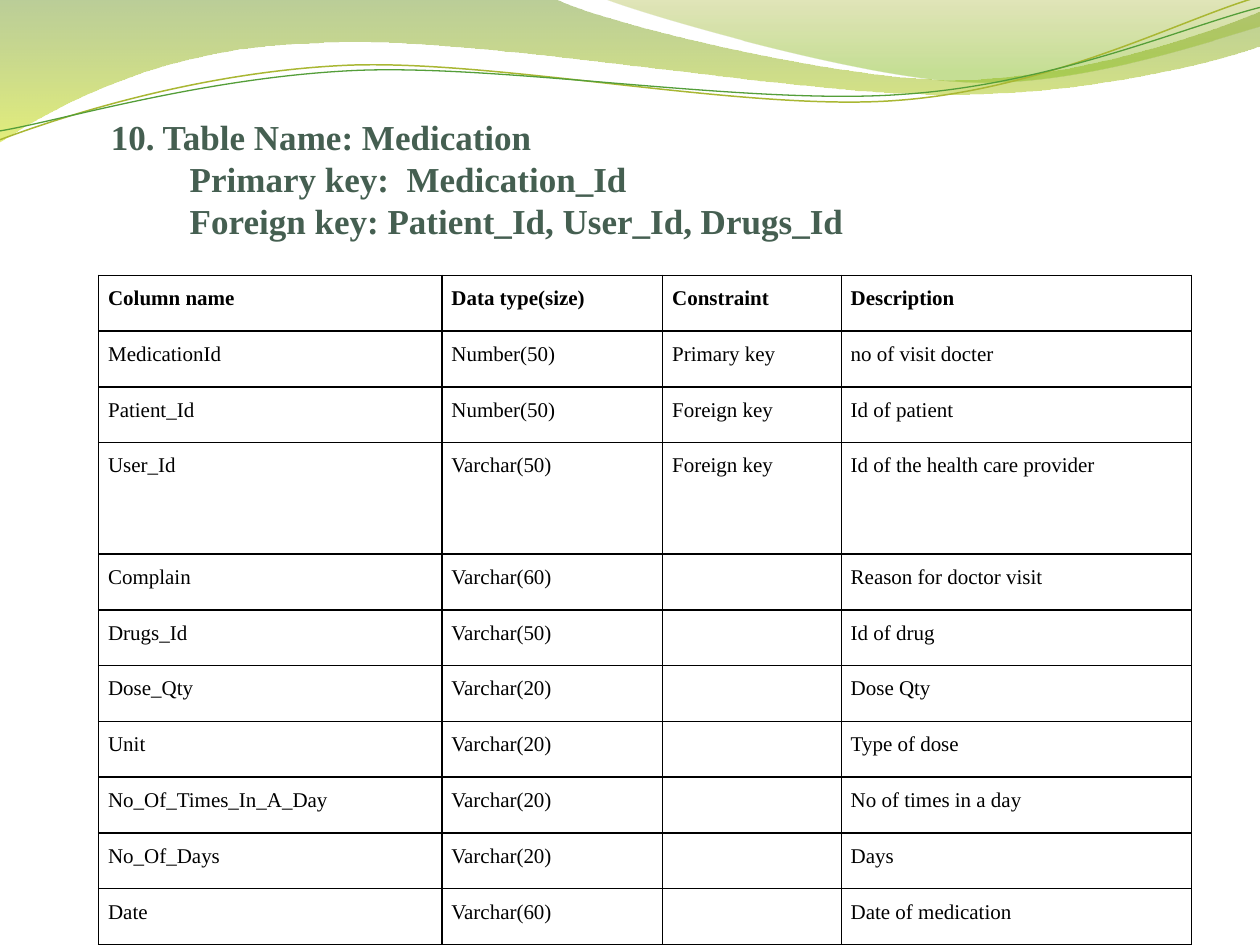
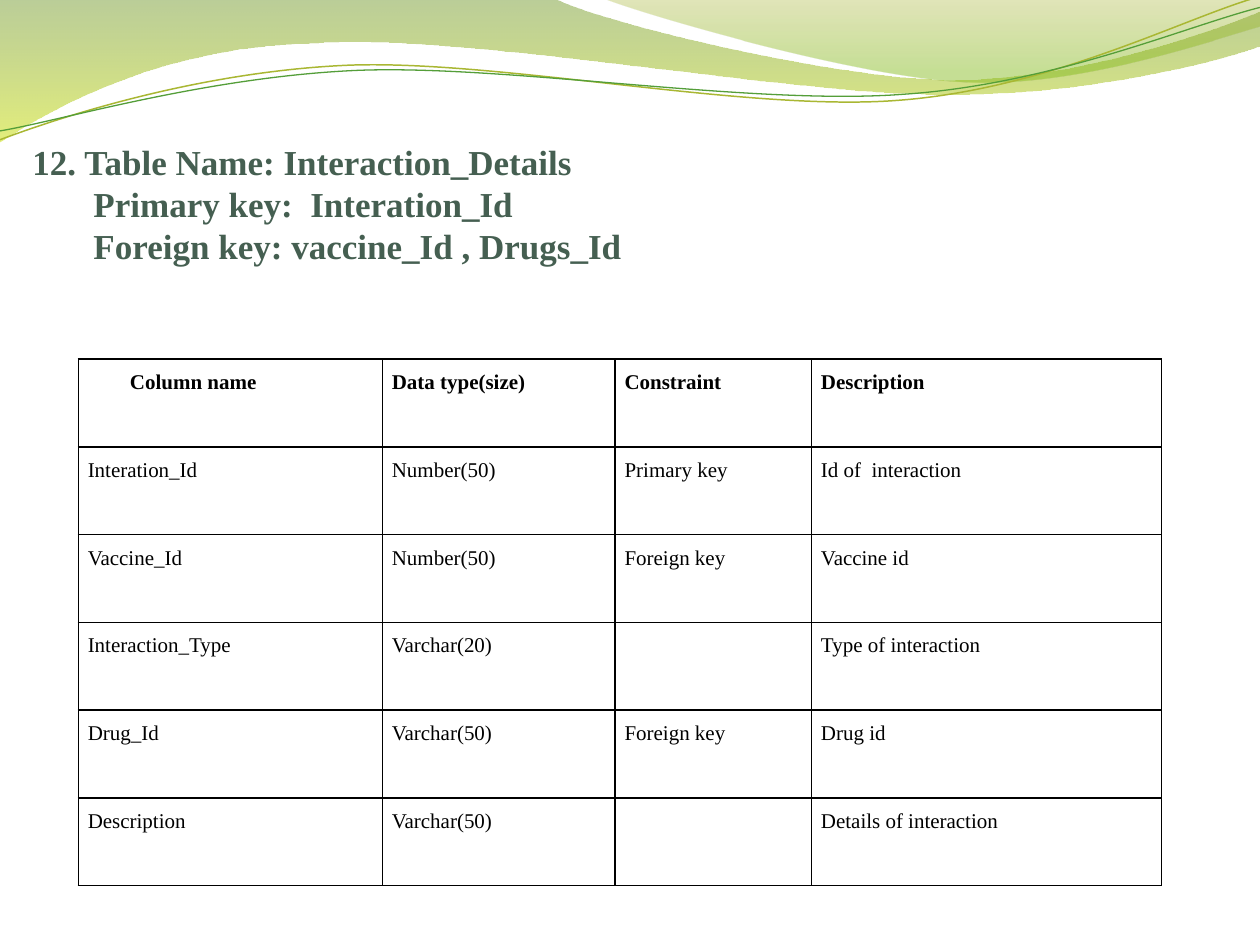
from dataclasses import dataclass
from typing import Optional

import lxml.etree
import pptx
import pptx.dml.color
import pptx.enum.text
import pptx.oxml
import pptx.oxml.ns
import pptx.util
from pptx.util import Cm

Point = tuple[float, float]
ALIGN = pptx.enum.text.PP_ALIGN


@dataclass(frozen=True)
class Theme:
    font: str = "Times New Roman"
    title_size: int = 20
    cell_size: int = 12
    title: str = "455F51"
    ink: str = "000000"
    paper: str = "FFFFFF"
    olive: str = "69921C"
    lime: str = "CCE10F"
    moss: str = "9BAA1A"
    leaf: str = "81BA16"
    khaki: str = "A9B733"
    green: str = "549E39"


THEME = Theme()


@dataclass(frozen=True)
class Stop:
    position: float
    color: str
    opacity: int


@dataclass(frozen=True)
class Wave:
    """An outline in cm: a step of one point is a line, of three a Bezier curve."""
    start: Point
    steps: tuple[tuple[Point, ...], ...]
    stops: tuple[Stop, ...] = ()
    line_color: str = ""
    line_width: float = 0
    rotation: float = 0


@dataclass(frozen=True)
class Line:
    text: str
    indent: float = 0


@dataclass(frozen=True)
class SchemaSlide:
    title: tuple[Line, ...]
    title_box: tuple[float, float, float, float]
    title_wraps: bool
    table_box: tuple[float, float, float]
    column_widths: tuple[float, ...]
    fields: tuple[tuple[str, str, str, str], ...]
    header_indent: float = 0
    double_row: Optional[int] = None


WAVES = (
    Wave((0, 0), (
        ((11.18, -0.03),),
        ((12.07, 0.43), (16.84, 1.6), (19.25, 1.6)),
        ((21.67, 1.6), (24.33, 0.66), (25.4, 0.23)),
        ((25.43, 0.91),),
        ((24.97, 1.12), (22.07, 1.93), (18.95, 1.9)),
        ((15.8, 1.9), (9.68, 0.71), (6.53, 0.86)),
        ((3.28, 0.91), (1.17, 2.11), (-0.03, 2.87)),
        ((0, 0),),
    ), stops=(Stop(0, THEME.olive, 45), Stop(1, THEME.lime, 55))),
    Wave((12.17, -0.03), (
        ((12.93, 0.28), (17.32, 1.57), (19.51, 1.65)),
        ((21.72, 1.75), (24.41, 0.81), (25.4, 0.53)),
        ((25.4, 0),),
        ((12.17, -0.03),),
    ), stops=(Stop(0, THEME.moss, 30), Stop(0.8, THEME.leaf, 45))),
    Wave((-0.05, 2.22), (
        ((1.19, 1.82), (4, 1.04), (7.02, 1.05)),
        ((10.05, 1.07), (15, 2.37), (18.05, 2.28)),
        ((21.13, 2.2), (23.87, 0.91), (25.38, 0.55)),
    ), line_color=THEME.khaki, line_width=0.85, rotation=357.3),
    Wave((-0.04, 2.04), (
        ((1.16, 1.9), (4.15, 1.15), (7.2, 1.16)),
        ((10.22, 1.18), (15.13, 2.25), (18.19, 2.16)),
        ((21.21, 2.1), (23.93, 1.06), (25.45, 0.75)),
    ), line_color=THEME.green, line_width=0.75, rotation=357.3),
)

HEADER = ("Column name", "Data type(size)", "Constraint", "Description")

MEDICATION = SchemaSlide(
    title=(
        Line("10. Table Name: Medication"),
        Line("Primary key:  Medication_Id", 1.59),
        Line("Foreign key: Patient_Id, User_Id, Drugs_Id", 1.59),
    ),
    title_box=(1.98, 2.18, 19.63, 2.82),
    title_wraps=True,
    table_box=(1.99, 5.55, 13.49),
    column_widths=(6.92, 4.45, 3.6, 7.06),
    double_row=3,
    fields=(
        ("MedicationId", "Number(50)", "Primary key", "no of visit docter"),
        ("Patient_Id", "Number(50)", "Foreign key", "Id of patient"),
        ("User_Id", "Varchar(50)", "Foreign key", "Id of the health care provider"),
        ("Complain", "Varchar(60)", "", "Reason for doctor visit"),
        ("Drugs_Id", "Varchar(50)", "", "Id of drug"),
        ("Dose_Qty", "Varchar(20)", "", "Dose Qty"),
        ("Unit", "Varchar(20)", "", "Type of dose"),
        ("No_Of_Times_In_A_Day", "Varchar(20)", "", "No of times in a day"),
        ("No_Of_Days", "Varchar(20)", "", "Days"),
        ("Date", "Varchar(60)", "", "Date of medication"),
    ),
)

INTERACTION = SchemaSlide(
    title=(
        Line("12. Table Name: Interaction_Details"),
        Line("Primary key:  Interation_Id", 1.23),
        Line("Foreign key: vaccine_Id , Drugs_Id", 1.23),
    ),
    title_box=(0.4, 2.69, 12.5, 2.82),
    title_wraps=False,
    table_box=(1.58, 7.24, 10.62),
    column_widths=(6.13, 4.69, 3.96, 7.05),
    header_indent=0.85,
    fields=(
        ("Interation_Id", "Number(50)", "Primary key", "Id of  interaction"),
        ("Vaccine_Id", "Number(50)", "Foreign key", "Vaccine id"),
        ("Interaction_Type", "Varchar(20)", "", "Type of interaction"),
        ("Drug_Id", "Varchar(50)", "Foreign key", "Drug id"),
        ("Description", "Varchar(50)", "", "Details of interaction"),
    ),
)


def rgb(color: str) -> pptx.dml.color.RGBColor:
    return pptx.dml.color.RGBColor.from_string(color)


def write_text(frame, lines: tuple[Line, ...], *, size: int, color: str,
               bold: bool = False, align=ALIGN.LEFT,
               line_spacing: float = 1.0, space_after: float = 0) -> None:
    for number, line in enumerate(lines):
        paragraph = frame.add_paragraph() if number else frame.paragraphs[0]
        paragraph.alignment = align
        paragraph.line_spacing = line_spacing
        paragraph.space_after = pptx.util.Pt(space_after)
        if line.indent:
            properties = paragraph._p.get_or_add_pPr()
            properties.set("marL", str(Cm(line.indent)))
            properties.set("indent", "0")
        paragraph.font.size = pptx.util.Pt(size)
        if not line.text:
            continue
        run = paragraph.add_run()
        run.text = line.text
        run.font.name = THEME.font
        run.font.size = pptx.util.Pt(size)
        run.font.bold = bold
        run.font.color.rgb = rgb(color)


def bend_segments(shape, wave: Wave) -> None:
    """Join the three line segments of each curved step into one Bezier segment."""
    qn = pptx.oxml.ns.qn
    segments = iter(list(shape._element.spPr.iter(qn("a:lnTo"))))
    for step in wave.steps:
        legs = [next(segments) for _ in step]
        if len(legs) == 3:
            curve = lxml.etree.Element(qn("a:cubicBezTo"))
            legs[0].addprevious(curve)
            for leg in legs:
                curve.append(leg[0])
                leg.getparent().remove(leg)


def draw_wave(shapes, wave: Wave):
    points = [wave.start] + [point for step in wave.steps for point in step]
    units = [(x * 1000, y * 1000) for x, y in points]
    builder = shapes.build_freeform(*units[0], scale=Cm(1) / 1000)
    builder.add_line_segments(units[1:], close=bool(wave.stops))
    shape = builder.convert_to_shape()
    bend_segments(shape, wave)
    shape.rotation = wave.rotation
    shape.shadow.inherit = False
    if not wave.stops:
        shape.fill.background()
        shape.line.color.rgb = rgb(wave.line_color)
        shape.line.width = pptx.util.Pt(wave.line_width)
        return shape
    shape.line.fill.background()
    shape.fill.gradient()
    shape.fill.gradient_angle = 270
    for gradient_stop, stop in zip(shape.fill.gradient_stops, wave.stops):
        gradient_stop.position = stop.position
        gradient_stop.color.rgb = rgb(stop.color)
    colors = shape._element.spPr.iter(pptx.oxml.ns.qn("a:srgbClr"))
    for color, stop in zip(colors, wave.stops):
        color.append(pptx.oxml.parse_xml(
            f'<a:alpha {pptx.oxml.ns.nsdecls("a")} val="{stop.opacity * 1000}"/>'))
    return shape


def put_waves_on_layout(slide) -> None:
    """Draw the waves and move them behind the placeholders of the layout."""
    layout_tree = slide.slide_layout.shapes._spTree
    for depth, wave in enumerate(WAVES):
        layout_tree.insert(2 + depth, draw_wave(slide.shapes, wave)._element)


def set_borders(cell) -> None:
    properties = cell._tc.get_or_add_tcPr()
    for side in ("lnL", "lnR", "lnT", "lnB"):
        properties.append(pptx.oxml.parse_xml(
            f'<a:{side} {pptx.oxml.ns.nsdecls("a")} w="{pptx.util.Pt(1)}">'
            f'<a:solidFill><a:srgbClr val="{THEME.ink}"/></a:solidFill></a:{side}>'))


def add_fields_table(slide, schema: SchemaSlide) -> None:
    left, top, height = schema.table_box
    records = (HEADER,) + schema.fields
    frame = slide.shapes.add_table(len(records), len(HEADER), Cm(left), Cm(top),
                                   Cm(sum(schema.column_widths)), Cm(height))
    table = frame.table
    table.first_row = table.horz_banding = False
    for column, width in zip(table.columns, schema.column_widths):
        column.width = Cm(width)
    unit = height / (len(records) + (schema.double_row is not None))
    for row_number, record in enumerate(records):
        span = 2 if row_number == schema.double_row else 1
        table.rows[row_number].height = Cm(unit * span)
        for column_number, value in enumerate(record):
            cell = table.cell(row_number, column_number)
            cell.margin_left = cell.margin_right = Cm(0.19)
            cell.margin_top = cell.margin_bottom = 0
            set_borders(cell)
            cell.fill.solid()
            cell.fill.fore_color.rgb = rgb(THEME.paper)
            corner = row_number == column_number == 0
            write_text(cell.text_frame,
                       (Line(value, schema.header_indent if corner else 0),),
                       size=THEME.cell_size, color=THEME.ink, bold=row_number == 0,
                       align=ALIGN.JUSTIFY, line_spacing=1.5, space_after=10)


def set_title(slide, schema: SchemaSlide) -> None:
    title = slide.shapes.title
    title.left, title.top, title.width, title.height = map(Cm, schema.title_box)
    frame = title.text_frame
    frame.word_wrap = schema.title_wraps
    frame.auto_size = pptx.enum.text.MSO_AUTO_SIZE.SHAPE_TO_FIT_TEXT
    frame.vertical_anchor = pptx.enum.text.MSO_ANCHOR.MIDDLE
    write_text(frame, schema.title, size=THEME.title_size, color=THEME.title, bold=True)


def main() -> None:
    deck = pptx.Presentation()
    deck.slide_width, deck.slide_height = Cm(25.4), Cm(19.05)
    title_only = deck.slide_layouts[5]
    for number, schema in enumerate((MEDICATION, INTERACTION)):
        slide = deck.slides.add_slide(title_only)
        if number == 0:
            put_waves_on_layout(slide)
        set_title(slide, schema)
        add_fields_table(slide, schema)
    deck.save("out.pptx")


if __name__ == "__main__":
    main()
